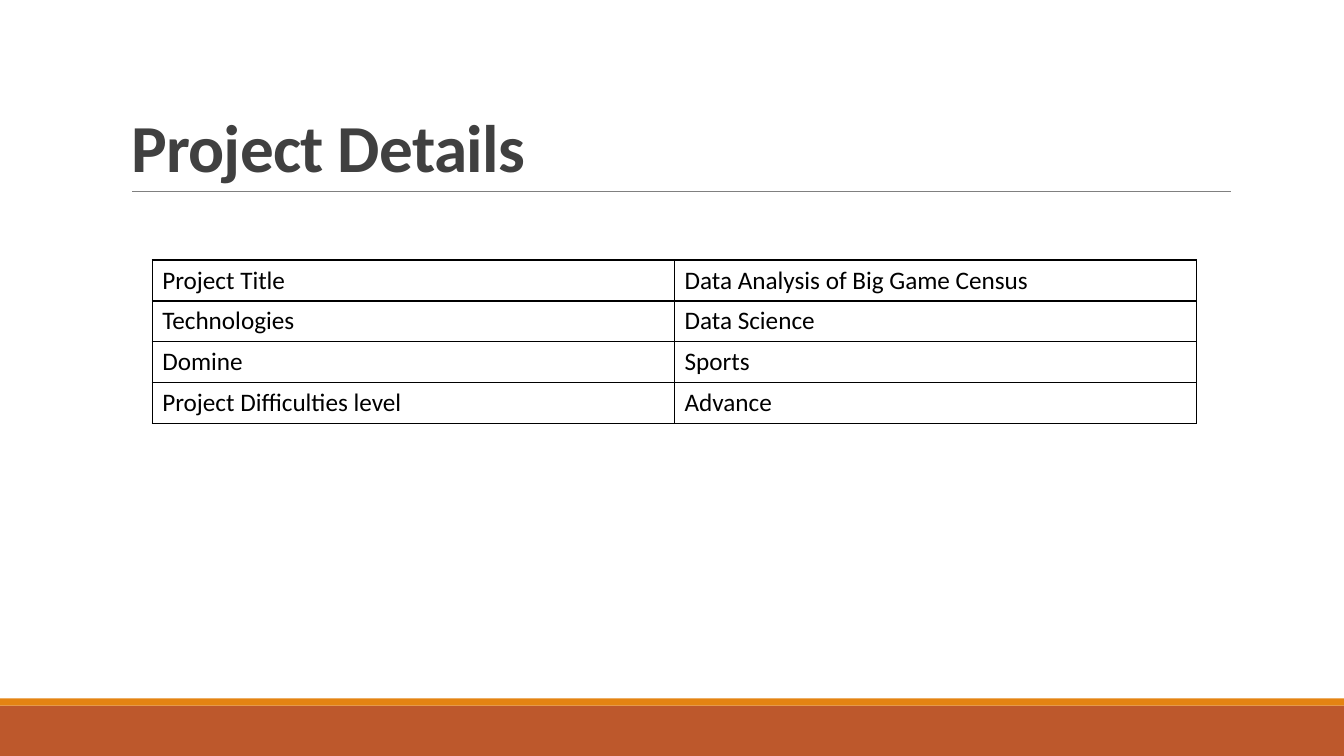
from dataclasses import dataclass

import pptx
import pptx.dml.color
import pptx.enum.shapes
import pptx.enum.text
import pptx.oxml
import pptx.oxml.ns
import pptx.slide
import pptx.table
import pptx.util
from pptx.util import Inches

COLORS = {
    "footer": "BD582C",
    "accent": "E48312",
    "rule": "808080",
    "title": "404040",
    "text": "000000",
    "border": "000000",
}
FONT = "Calibri"
SLIDE_WIDTH = 13.33
SLIDE_HEIGHT = 7.5


@dataclass
class Band:
    top: float
    height: float
    color: str


@dataclass
class Detail:
    label: str
    value: str


BANDS = [Band(7, 0.5, "footer"), Band(6.93, 0.07, "accent")]
DETAILS = [
    Detail("Project Title", "Data Analysis of Big Game Census"),
    Detail("Technologies", "Data Science"),
    Detail("Domine", "Sports"),
    Detail("Project Difficulties level", "Advance"),
]


def rgb(name: str) -> pptx.dml.color.RGBColor:
    return pptx.dml.color.RGBColor.from_string(COLORS[name])


def add_band(slide: pptx.slide.Slide, band: Band) -> None:
    shape = slide.shapes.add_shape(
        pptx.enum.shapes.MSO_SHAPE.RECTANGLE,
        Inches(0), Inches(band.top), Inches(SLIDE_WIDTH), Inches(band.height),
    )
    shape.shadow.inherit = False
    shape.fill.solid()
    shape.fill.fore_color.rgb = rgb(band.color)
    shape.line.fill.background()


def add_title_rule(slide: pptx.slide.Slide) -> None:
    rule = slide.shapes.add_connector(
        pptx.enum.shapes.MSO_CONNECTOR.STRAIGHT,
        Inches(1.31), Inches(1.9), Inches(12.21), Inches(1.9),
    )
    rule.line.color.rgb = rgb("rule")
    rule.line.width = pptx.util.Pt(0.5)
    properties = rule._element.spPr
    properties.append(pptx.oxml.parse_xml(
        f"<a:effectLst {pptx.oxml.ns.nsdecls('a')}/>"))


def set_title(slide: pptx.slide.Slide, text: str) -> None:
    title = slide.shapes.title
    title.left, title.top = Inches(1.2), Inches(0.31)
    title.width, title.height = Inches(11), Inches(1.59)
    frame = title.text_frame
    frame.text = text
    frame.word_wrap = True
    frame.auto_size = pptx.enum.text.MSO_AUTO_SIZE.NONE
    frame.vertical_anchor = pptx.enum.text.MSO_ANCHOR.BOTTOM
    paragraph = frame.paragraphs[0]
    paragraph.alignment = pptx.enum.text.PP_ALIGN.LEFT
    paragraph.line_spacing = 0.85
    paragraph.font.name = FONT
    paragraph.font.size = pptx.util.Pt(48)
    paragraph.font.bold = True
    paragraph.font.color.rgb = rgb("title")
    # Tighten the letters by half a point
    paragraph.runs[0]._r.get_or_add_rPr().set("spc", "-50")


def format_cell(cell: pptx.table._Cell, text: str) -> None:
    cell.text = text
    paragraph = cell.text_frame.paragraphs[0]
    paragraph.font.name = FONT
    paragraph.font.size = pptx.util.Pt(18)
    paragraph.font.color.rgb = rgb("text")
    # Borders come before the fill in the cell properties
    properties = cell._tc.get_or_add_tcPr()
    for side in ("lnL", "lnR", "lnT", "lnB"):
        properties.append(pptx.oxml.parse_xml(
            f'<a:{side} {pptx.oxml.ns.nsdecls("a")} w="{pptx.util.Pt(1)}">'
            f'<a:solidFill><a:srgbClr val="{COLORS["border"]}"/></a:solidFill>'
            f"</a:{side}>"))
    cell.fill.background()


def add_details_table(slide: pptx.slide.Slide, details: list[Detail]) -> None:
    table = slide.shapes.add_table(
        len(details), 2,
        Inches(1.51), Inches(2.58), Inches(10.36), Inches(0.4 * len(details)),
    ).table
    table.first_row = False
    table.horz_banding = False
    for row, detail in enumerate(details):
        for column, text in enumerate((detail.label, detail.value)):
            format_cell(table.cell(row, column), text)


def main() -> None:
    presentation = pptx.Presentation()
    presentation.slide_width = Inches(SLIDE_WIDTH)
    presentation.slide_height = Inches(SLIDE_HEIGHT)
    title_only = presentation.slide_layouts.get_by_name("Title Only")
    slide = presentation.slides.add_slide(title_only)

    # Footer bands
    for band in BANDS:
        add_band(slide, band)

    # Heading
    add_title_rule(slide)
    set_title(slide, "Project Details")

    # Project facts
    add_details_table(slide, DETAILS)

    presentation.save("out.pptx")


if __name__ == "__main__":
    main()
